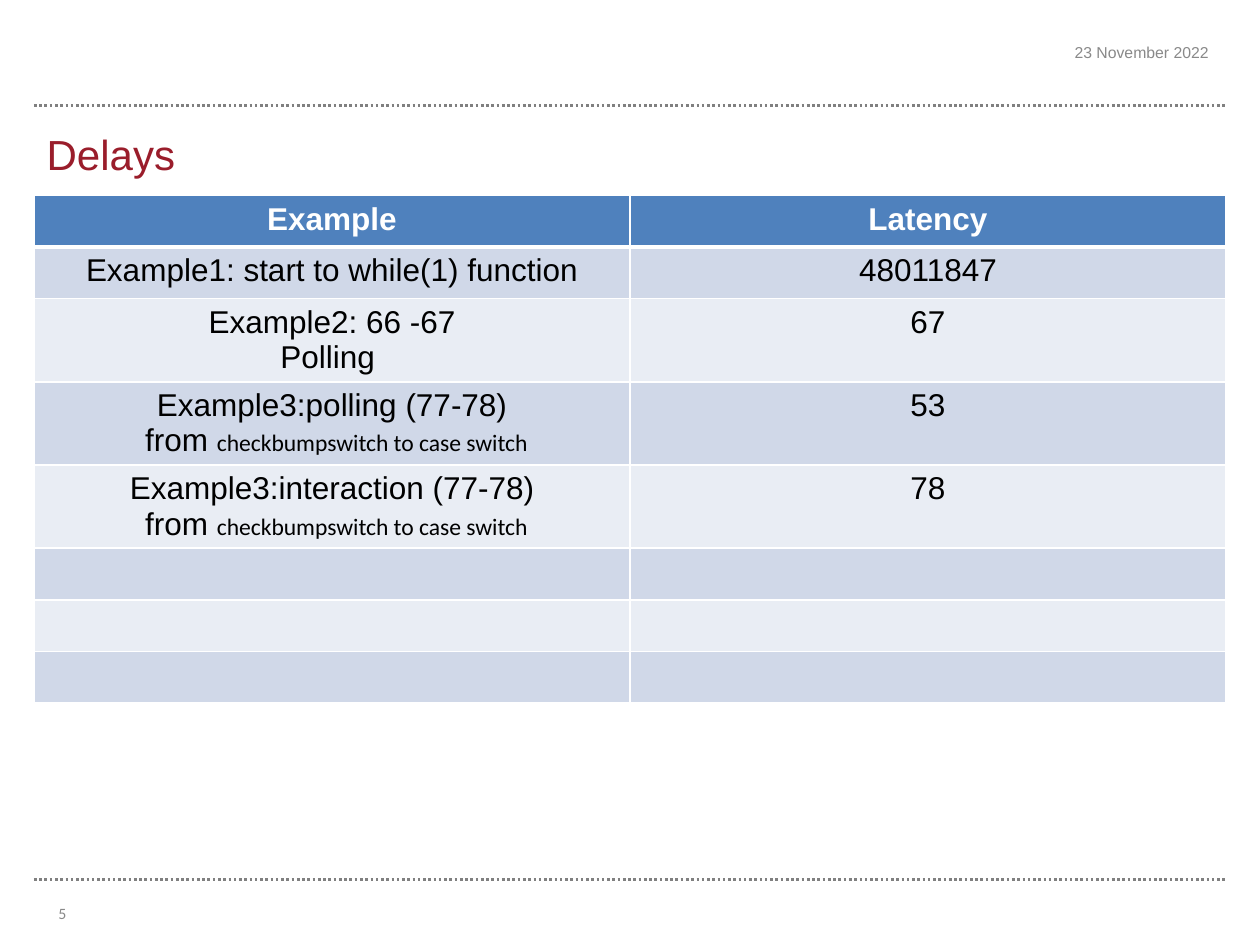
from lxml import etree
from pptx import Presentation
from pptx.dml.color import RGBColor
from pptx.enum.dml import MSO_LINE
from pptx.enum.text import MSO_ANCHOR, PP_ALIGN
from pptx.oxml.ns import qn
from pptx.util import Inches, Pt

LEFT, CENTER, RIGHT = PP_ALIGN.LEFT, PP_ALIGN.CENTER, PP_ALIGN.RIGHT
TOP, MIDDLE, BOTTOM = MSO_ANCHOR.TOP, MSO_ANCHOR.MIDDLE, MSO_ANCHOR.BOTTOM
DOTTED = MSO_LINE.ROUND_DOT

COLORS = {
    "title": "9A1D2B", "rule": "808080", "small": "898989",
    "header": "4F81BD", "odd": "D0D8E8", "even": "E9EDF4",
    "white": "FFFFFF", "black": "000000",
}
FORMATS = {
    "title": {"name": "Arial", "size": Pt(24), "bold": False},
    "header": {"name": "Arial", "size": Pt(18), "bold": True},
    "body": {"name": "Arial", "size": Pt(18), "bold": False},
    "code": {"name": "Calibri", "size": Pt(13.5), "bold": False},
    "number": {"name": "Calibri", "size": Pt(9)},
    "date": {"name": "Arial", "size": Pt(9)},
}

TITLE = "Delays"
DATE = "23 November 2022"
NUMBER = "5"
HEADER = ("Example", "Latency")
# Each example is a list of lines; a line is a list of (text, format) runs.
FROM_SWITCH = [(" from ", "body"), ("checkbumpswitch to case switch", "code")]
DELAYS = [
    ([[("Example1: start to while(1) function", "body")]], "48011847"),
    ([[("Example2: 66 -67", "body")], [("Polling ", "body")]], "67"),
    ([[("Example3:polling (77-78)", "body")], FROM_SWITCH], "53"),
    ([[("Example3:interaction (77-78)", "body")], FROM_SWITCH], "78"),
]
EMPTY_ROWS = 3

WIDTH, HEIGHT = 10, 7.5
MARGIN = 0.27
CONTENT_WIDTH = WIDTH - 2 * MARGIN
RULES_Y = (0.84, 6.98)
TABLE_TOP, ROW_HEIGHT, TALL_ROW, TALL_HEIGHT = 1.55, 0.41, 2, 0.46


def color(name):
    return RGBColor.from_string(COLORS[name])


def write(frame, lines, align, ink, anchor=TOP):
    frame.word_wrap = True
    frame.vertical_anchor = anchor
    for index, line in enumerate(lines):
        paragraph = frame.paragraphs[0] if index == 0 else frame.add_paragraph()
        paragraph.alignment = align
        for text, style in line:
            run = paragraph.add_run()
            run.text = text
            for key, value in FORMATS[style].items():
                setattr(run.font, key, value)
            run.font.color.rgb = color(ink)


def add_rule(slide, y):
    rule = slide.shapes.add_connector(
        1, Inches(MARGIN), Inches(y), Inches(WIDTH - MARGIN), Inches(y))
    rule.line.color.rgb = color("rule")
    rule.line.width = Pt(1.5)
    rule.line.dash_style = DOTTED
    etree.SubElement(rule._element.spPr, qn("a:effectLst"))


def add_small_text(slide, box, text, style, align, anchor):
    label = slide.shapes.add_textbox(*map(Inches, box))
    write(label.text_frame, [[(text, style)]], align, "small", anchor)


def set_borders(cell, widths):
    """Draw white borders; widths maps L, R, T and B, in that order, to points."""
    properties = cell._tc.get_or_add_tcPr()
    for index, (side, width) in enumerate(widths.items()):
        border = etree.Element(qn(f"a:ln{side}"), w=str(Pt(width)))
        fill = etree.SubElement(border, qn("a:solidFill"))
        etree.SubElement(fill, qn("a:srgbClr"), val=COLORS["white"])
        properties.insert(index, border)


def add_delay_table(slide):
    header = tuple([[(name, "header")]] for name in HEADER)
    body = [(example, [[(latency, "body")]]) for example, latency in DELAYS]
    rows = [header] + body + [([], [])] * EMPTY_ROWS
    table = slide.shapes.add_table(
        len(rows), len(HEADER), Inches(MARGIN), Inches(TABLE_TOP),
        Inches(CONTENT_WIDTH), Inches(ROW_HEIGHT * len(rows))).table
    for r, row in enumerate(rows):
        table.rows[r].height = Inches(TALL_HEIGHT if r == TALL_ROW else ROW_HEIGHT)
        band = "header" if r == 0 else ("even", "odd")[r % 2]
        for c, lines in enumerate(row):
            cell = table.cell(r, c)
            write(cell.text_frame, lines, CENTER, "black" if r else "white")
            cell.fill.solid()
            cell.fill.fore_color.rgb = color(band)
            set_borders(cell, {"L": 1, "R": 1, "T": 3 if r == 1 else 1,
                               "B": 3 if r == 0 else 1})


def main():
    deck = Presentation()
    deck.slide_width, deck.slide_height = Inches(WIDTH), Inches(HEIGHT)
    slide = deck.slides.add_slide(deck.slide_layouts[5])

    for y in RULES_Y:
        add_rule(slide, y)

    title = slide.shapes.title
    title.left, title.top, title.width, title.height = map(
        Inches, (MARGIN, RULES_Y[0], CONTENT_WIDTH, 0.63))
    write(title.text_frame, [[(TITLE, "title")]], LEFT, "title", BOTTOM)

    add_delay_table(slide)
    add_small_text(slide, (0.1, 7.05, 0.79, 0.4), NUMBER, "number", CENTER, MIDDLE)
    add_small_text(slide, (7.91, 0.29, 1.78, 0.24), DATE, "date", RIGHT, TOP)
    deck.save("out.pptx")


if __name__ == "__main__":
    main()
